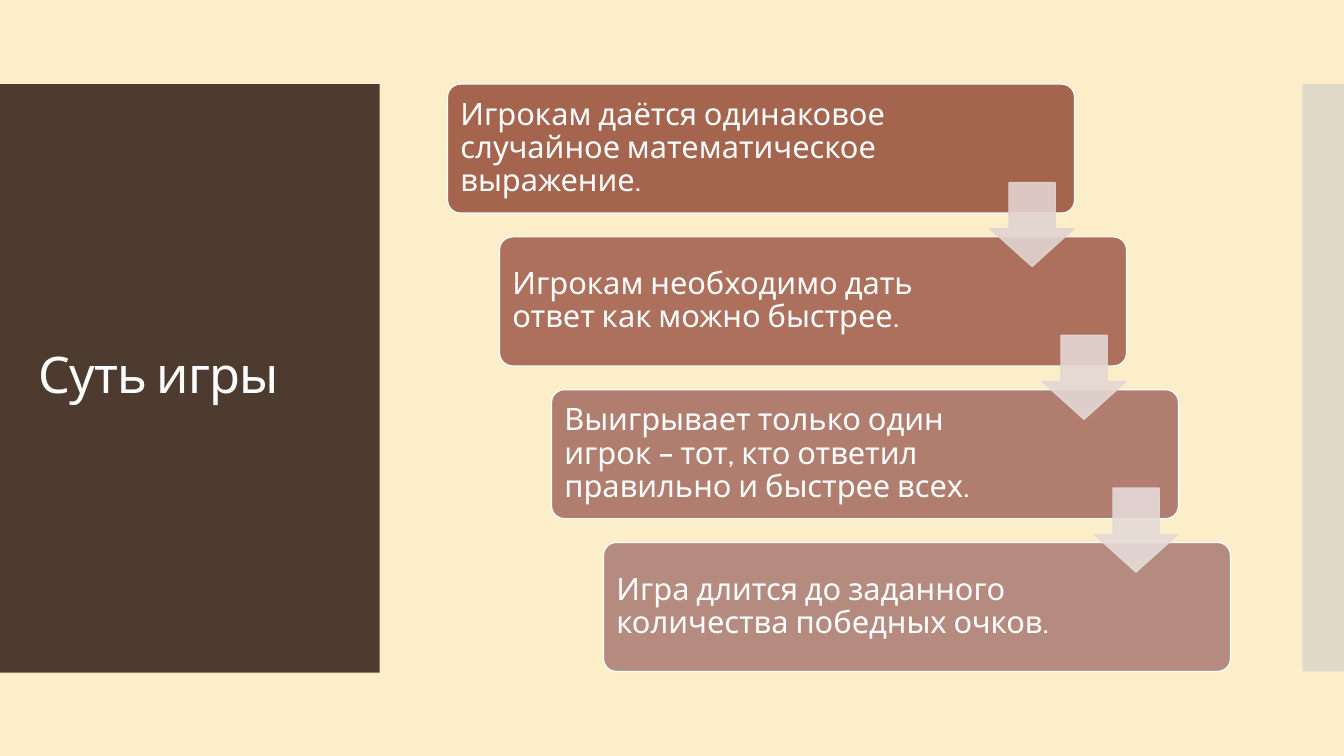
"""Build the slide on the point of the game: a title panel and a staircase of steps."""
from dataclasses import dataclass

from lxml import etree
from pptx import Presentation
from pptx import util as u
from pptx.dml.color import RGBColor
from pptx.enum import shapes, text
from pptx.oxml import ns

CREAM = RGBColor(0xFB, 0xEE, 0xC9)
BROWN = RGBColor(0x4E, 0x3B, 0x30)
GREY = RGBColor(0xC8, 0xC8, 0xC8)
WHITE = RGBColor(0xFF, 0xFF, 0xFF)
FONT = "Cabin"
SHAPE = shapes.MSO_SHAPE
STEP_X, STEP_Y = 1.31, 3.85


@dataclass
class Box:
    """Place and size in centimetres."""
    left: float
    top: float
    width: float
    height: float

    def shift(self, n: int) -> "Box":
        """Return the box moved down the stairs by n steps."""
        return Box(self.left + n * STEP_X, self.top + n * STEP_Y, self.width, self.height)

    def sides(self) -> list[u.Cm]:
        """Return left, top, width and height as lengths."""
        return [u.Cm(x) for x in (self.left, self.top, self.width, self.height)]


@dataclass
class Step:
    """One rule of the game and its fill."""
    words: str
    fill: RGBColor


PANEL = Box(0, 2.12, 9.57, 14.83)
STRIP = Box(32.82, 2.12, 1.05, 14.8)
TITLE = Box(0.71, 3.12, 8.18, 12.78)
CARD = Box(11.28, 2.12, 15.8, 3.25)
ARROW = Box(24.95, 4.6, 2.12, 2.12)

STEPS = [
    Step("Игрокам даётся одинаковое случайное математическое выражение.", RGBColor(0xA5, 0x64, 0x4E)),
    Step("Игрокам необходимо дать ответ как можно быстрее.", RGBColor(0xAD, 0x70, 0x5C)),
    Step("Выигрывает только один игрок – тот, кто ответил правильно и быстрее всех.", RGBColor(0xB0, 0x7D, 0x6F)),
    Step("Игра длится до заданного количества победных очков.", RGBColor(0xB5, 0x8B, 0x80)),
]
ARROWS = [RGBColor(0xE1, 0xD3, 0xD0), RGBColor(0xE3, 0xD7, 0xD4), RGBColor(0xE5, 0xDA, 0xD8)]


def fade(shape, share: int) -> None:
    """Set the opacity, in percent, of every colour in the shape."""
    for tint in shape.element.spPr.iter(ns.qn("a:srgbClr")):
        etree.SubElement(tint, ns.qn("a:alpha")).set("val", str(share * 1000))


def draw(slide, kind, box: Box, fill: RGBColor, line: RGBColor | None = None):
    """Add a plain filled shape, with an outline if a colour is given."""
    shape = slide.shapes.add_shape(kind, *box.sides())
    shape.shadow.inherit = False
    shape.fill.solid()
    shape.fill.fore_color.rgb = fill
    if line is None:
        shape.line.fill.background()
    else:
        shape.line.color.rgb = line
        shape.line.width = u.Pt(0.85)
    return shape


def write(shape, words: str, size: int) -> None:
    """Set left-aligned white text, centred in height."""
    frame = shape.text_frame
    frame.text = words
    frame.word_wrap = True
    frame.auto_size = text.MSO_AUTO_SIZE.NONE
    frame.vertical_anchor = text.MSO_ANCHOR.MIDDLE
    para = frame.paragraphs[0]
    para.alignment = text.PP_ALIGN.LEFT
    para.line_spacing = 0.9
    font = para.runs[0].font
    font.name, font.size, font.color.rgb = FONT, u.Pt(size), WHITE


def head(slide) -> None:
    """Place the title on its dark panel."""
    draw(slide, SHAPE.RECTANGLE, PANEL, BROWN)
    title = slide.shapes.title
    title.left, title.top, title.width, title.height = TITLE.sides()
    write(title, "Суть игры", 36)
    title.text_frame.paragraphs[0].runs[0].font._element.set("spc", "-60")
    title.element.getparent().append(title.element)


def card(slide, box: Box, step: Step) -> None:
    """Add one step, leaving room for the arrow on the right."""
    shape = draw(slide, SHAPE.ROUNDED_RECTANGLE, box, step.fill, WHITE)
    shape.adjustments[0] = 0.1
    write(shape, step.words, 22)
    frame = shape.text_frame
    frame.margin_left = frame.margin_top = frame.margin_bottom = u.Cm(0.23)
    frame.margin_right = u.Cm(3.84)


def arrow(slide, box: Box, fill: RGBColor) -> None:
    """Add one pale arrow between two steps."""
    shape = draw(slide, SHAPE.DOWN_ARROW, box, fill, fill)
    shape.adjustments[0], shape.adjustments[1] = 0.55, 0.45
    fade(shape, 90)


def main() -> None:
    """Build and save the deck."""
    deck = Presentation()
    deck.slide_width, deck.slide_height = u.Cm(33.87), u.Cm(19.05)
    slide = deck.slides.add_slide(deck.slide_layouts[5])
    slide.background.fill.solid()
    slide.background.fill.fore_color.rgb = CREAM
    fade(draw(slide, SHAPE.RECTANGLE, STRIP, GREY), 50)
    head(slide)
    for n, step in enumerate(STEPS):
        card(slide, CARD.shift(n), step)
    for n, fill in enumerate(ARROWS):
        arrow(slide, ARROW.shift(n), fill)
    deck.save("out.pptx")


if __name__ == "__main__":
    main()
